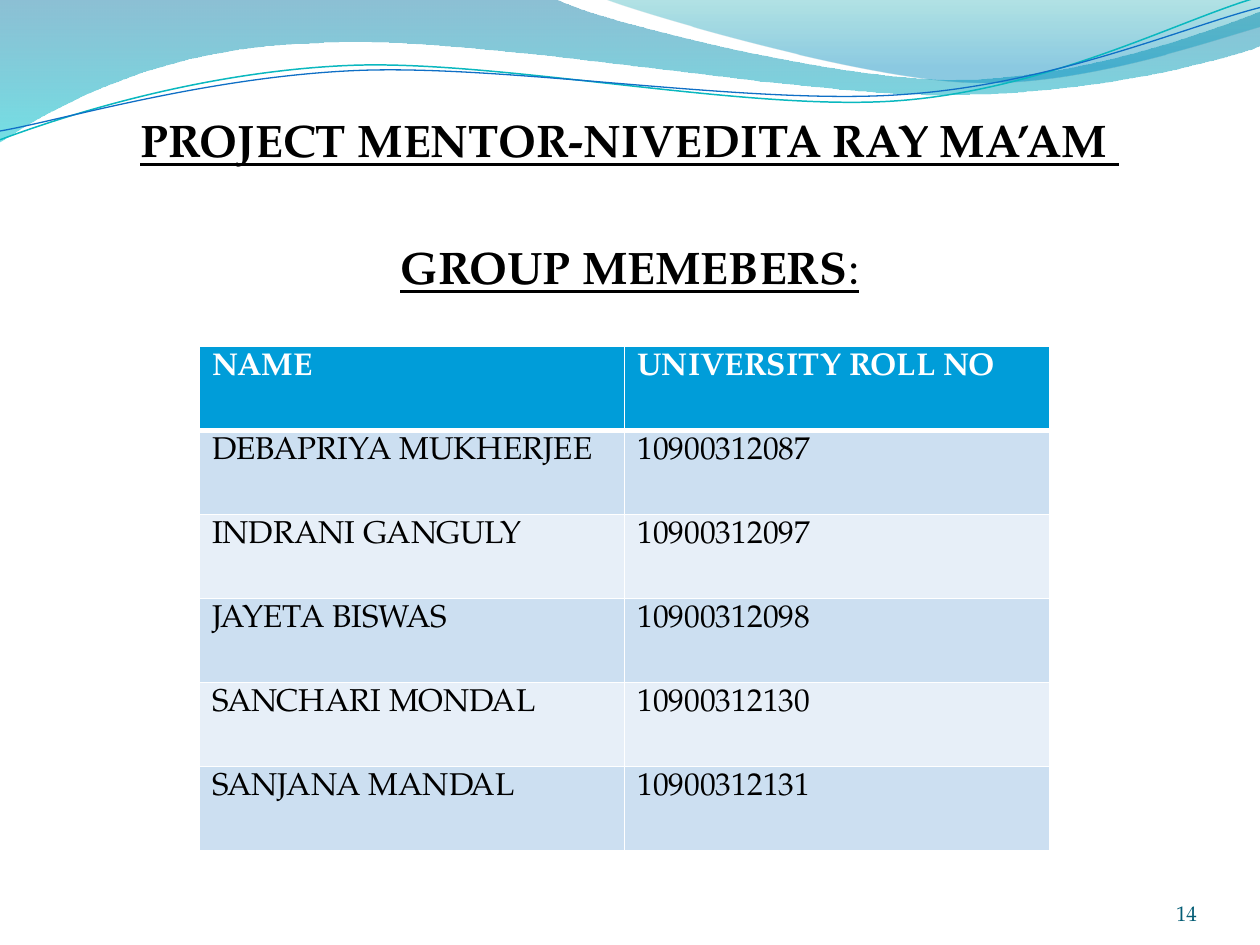
from dataclasses import dataclass

from lxml import etree
from pptx import Presentation
from pptx.dml.color import RGBColor
from pptx.enum.text import MSO_ANCHOR, PP_ALIGN
from pptx.oxml.ns import qn
from pptx.util import Cm, Pt

CENTER, LEFT, RIGHT = PP_ALIGN.CENTER, PP_ALIGN.LEFT, PP_ALIGN.RIGHT
TOP, BOTTOM = MSO_ANCHOR.TOP, MSO_ANCHOR.BOTTOM
CM_PER_INCH = 2.54


@dataclass(frozen=True)
class Theme:
    font: str = "TeX Gyre Pagella"
    heading: int = 26
    cell: int = 18
    number: int = 12
    black: str = "000000"
    white: str = "FFFFFF"
    number_color: str = "045D75"
    header_fill: str = "009DD9"
    bands: tuple = ("CCDFF1", "E7EFF8")


@dataclass(frozen=True)
class Stop:
    pos: int
    color: str
    alpha: int


@dataclass(frozen=True)
class Wave:
    """Start point, then segments of one (line) or three (curve) points, in inches."""
    start: tuple
    segments: tuple
    stops: tuple = ()
    line: str = ""
    width: float = 0


@dataclass(frozen=True)
class Span:
    text: str
    size: int
    color: str
    bold: bool = False
    underline: bool = False


T = Theme()

WAVES = (
    Wave((0, 0), (
        ((4.4, -0.01),),
        ((4.76, 0.17), (6.64, 0.63), (7.58, 0.63)),
        ((8.53, 0.63), (9.58, 0.26), (10, 0.09)),
        ((10.01, 0.36),),
        ((9.83, 0.44), (8.7, 0.76), (7.46, 0.75)),
        ((6.22, 0.75), (3.82, 0.28), (2.57, 0.34)),
        ((1.29, 0.36), (0.46, 0.83), (-0.01, 1.13)),
    ), stops=(Stop(0, "0074A1", 45), Stop(100, "00C6CF", 55))),
    Wave((4.79, -0.01), (
        ((5.09, 0.11), (6.82, 0.62), (7.69, 0.65)),
        ((8.56, 0.69), (9.61, 0.32), (10, 0.21)),
        ((10, 0),),
    ), stops=(Stop(0, "00A1A9", 30), Stop(80, "008BBF", 45))),
    Wave((0, 1.11), (
        ((0.48, 0.93), (1.58, 0.57), (2.77, 0.52)),
        ((3.95, 0.47), (5.93, 0.89), (7.13, 0.8)),
        ((8.33, 0.71), (9.38, 0.15), (9.98, -0.02)),
    ), line="0AB8BF", width=0.85),
    Wave((0, 1.04), (
        ((0.47, 0.96), (1.64, 0.61), (2.83, 0.56)),
        ((4.03, 0.51), (5.97, 0.84), (7.17, 0.75)),
        ((8.36, 0.67), (9.41, 0.21), (10, 0.06)),
    ), line="0F6FC6", width=0.75),
)

HEADER = ("NAME", "UNIVERSITY ROLL NO")
MEMBERS = (
    ("DEBAPRIYA MUKHERJEE", "10900312087"),
    ("INDRANI GANGULY", "10900312097"),
    ("JAYETA BISWAS", "10900312098"),
    ("SANCHARI MONDAL", "10900312130"),
    ("SANJANA MANDAL", "10900312131"),
)


def rgb(color: str) -> RGBColor:
    return RGBColor.from_string(color)


def emu(point: tuple) -> tuple:
    return tuple(Cm(v * CM_PER_INCH) for v in point)


def bend(sp, segments: tuple) -> None:
    """Replace the straight steps of curved segments with cubic curves."""
    steps = list(sp._element.spPr.iter(qn("a:lnTo")))
    for step, seg in zip(steps, segments):
        if len(seg) == 3:
            curve = etree.Element(qn("a:cubicBezTo"))
            for x, y in map(emu, seg):
                etree.SubElement(curve, qn("a:pt"), x=str(x - sp.left), y=str(y - sp.top))
            step.getparent().replace(step, curve)


def gradient(stops: tuple):
    fill = etree.Element(qn("a:gradFill"), rotWithShape="1")
    gs_list = etree.SubElement(fill, qn("a:gsLst"))
    for stop in stops:
        gs = etree.SubElement(gs_list, qn("a:gs"), pos=str(stop.pos * 1000))
        clr = etree.SubElement(gs, qn("a:srgbClr"), val=stop.color)
        etree.SubElement(clr, qn("a:alpha"), val=str(stop.alpha * 1000))
    etree.SubElement(fill, qn("a:lin"), ang="5400000", scaled="0")
    return fill


def add_wave(s, wave: Wave) -> None:
    fb = s.shapes.build_freeform(*emu(wave.start))
    fb.add_line_segments([emu(seg[-1]) for seg in wave.segments], close=bool(wave.stops))
    sp = fb.convert_to_shape()
    bend(sp, wave.segments)
    sp.shadow.inherit = False
    sp.fill.background()
    if wave.stops:
        sp.line.fill.background()
        props = sp._element.spPr
        props.replace(props.find(qn("a:noFill")), gradient(wave.stops))
    else:
        sp.line.color.rgb = rgb(wave.line)
        sp.line.width = Pt(wave.width)


def add_runs(p, spans: tuple, align=LEFT) -> None:
    p.alignment = align
    for span in spans:
        r = p.add_run()
        r.text = span.text
        r.font.name, r.font.size = T.font, Pt(span.size)
        r.font.bold, r.font.underline = span.bold, span.underline
        r.font.color.rgb = rgb(span.color)


def add_text(s, box: tuple, paragraphs: tuple, align, anchor=TOP,
             inset: float = 0, gap: float = 0) -> None:
    tf = s.shapes.add_textbox(*(Cm(v) for v in box)).text_frame
    tf.word_wrap, tf.vertical_anchor = True, anchor
    tf.margin_left = tf.margin_right = tf.margin_bottom = 0
    tf.margin_top = Cm(inset)
    for i, spans in enumerate(paragraphs):
        p = tf.paragraphs[0] if i == 0 else tf.add_paragraph()
        if i:
            p.space_before = Pt(gap)
        add_runs(p, spans, align)


def set_borders(cell, top: int, bottom: int) -> None:
    props = cell._tc.get_or_add_tcPr()
    for i, (side, width) in enumerate((("L", 1), ("R", 1), ("T", top), ("B", bottom))):
        ln = etree.Element(qn(f"a:ln{side}"), w=str(Pt(width)))
        fill = etree.SubElement(ln, qn("a:solidFill"))
        etree.SubElement(fill, qn("a:srgbClr"), val=T.white)
        props.insert(i, ln)


def add_members(s, left: float, top: float, width: float, height: float) -> None:
    rows = (HEADER, *MEMBERS)
    table = s.shapes.add_table(len(rows), len(HEADER), Cm(left), Cm(top),
                               Cm(width), Cm(height)).table
    for i, row in enumerate(rows):
        head = i == 0
        for j, text in enumerate(row):
            cell = table.cell(i, j)
            cell.fill.solid()
            cell.fill.fore_color.rgb = rgb(T.header_fill if head else T.bands[(i - 1) % 2])
            set_borders(cell, 3 if i == 1 else 1, 3 if head else 1)
            span = Span(text, T.cell, T.white if head else T.black, bold=head)
            add_runs(cell.text_frame.paragraphs[0], (span,))


prs = Presentation()
prs.slide_width, prs.slide_height = Cm(25.4), Cm(19.05)
s = prs.slides.add_slide(prs.slide_layouts[6])

# Wave band across the top
for wave in WAVES:
    add_wave(s, wave)

# Headings
add_text(s, (1.27, 0.84, 22.86, 16.18), (
    (Span("PROJECT MENTOR-NIVEDITA RAY MA’AM ", T.heading, T.black, True, True),),
    (Span("GROUP MEMEBERS", T.heading, T.black, True, True),
     Span(":", T.heading, T.black, False, True)),
), CENTER, inset=1.42, gap=41.4)

# Group members
add_members(s, 4.02, 6.99, 17.15, 10.16)

# Slide number
add_text(s, (22.02, 17.65, 2.11, 1.02),
         ((Span("14", T.number, T.number_color),),), RIGHT, BOTTOM)

prs.save("out.pptx")
